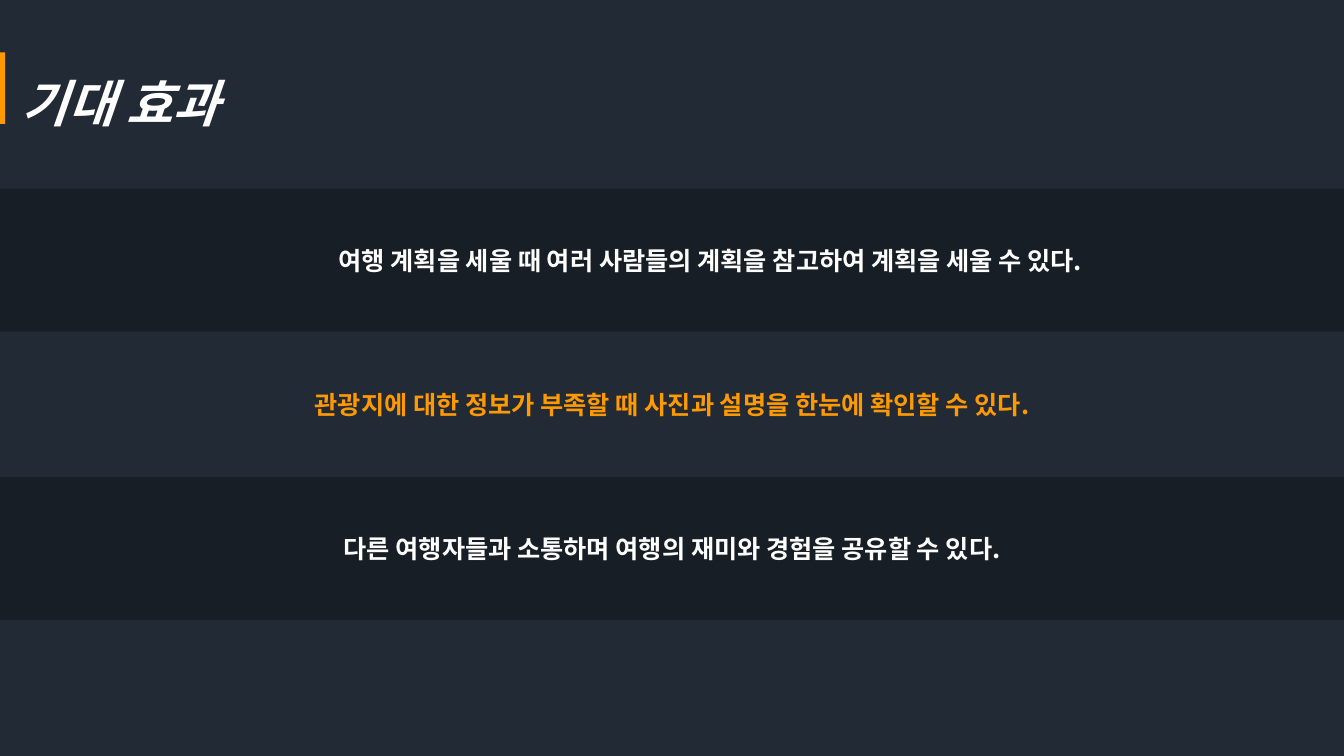
from lxml import etree
from pptx import Presentation
from pptx.dml.color import RGBColor
from pptx.enum.shapes import MSO_SHAPE
from pptx.enum.text import MSO_ANCHOR, PP_ALIGN
from pptx.oxml.ns import qn
from pptx.util import Inches, Pt

# Content
TITLE = "기대 효과"
# text, colour, on a dark band, left inset in inches
EFFECTS = [
    ("여행 계획을 세울 때 여러 사람들의 계획을 참고하여 계획을 세울 수 있다.", "white", True, 0.86),
    ("관광지에 대한 정보가 부족할 때 사진과 설명을 한눈에 확인할 수 있다.", "orange", False, 0.1),
    ("다른 여행자들과 소통하며 여행의 재미와 경험을 공유할 수 있다.", "white", True, 0.1),
]
COLORS = {"back": "222A35", "band": "181E26", "orange": "FF9900", "white": "FFFFFF"}
FONT = "Noto Sans CJK KR"
WIDTH, HEIGHT = 13.33, 7.5
BAND_TOP, BAND_HEIGHT, BAND_STEP = 1.87, 1.42, 1.43
LINE_HEIGHT = 0.4


def rgb(name):
    return RGBColor.from_string(COLORS[name])


def add_rect(left, top, width, height, color):
    sp = s.shapes.add_shape(MSO_SHAPE.RECTANGLE, Inches(left), Inches(top),
                            Inches(width), Inches(height))
    sp.shadow.inherit = False
    sp.fill.solid()
    sp.fill.fore_color.rgb = rgb(color)
    sp.line.fill.background()
    return sp


def add_text(left, top, width, height):
    return s.shapes.add_textbox(Inches(left), Inches(top), Inches(width), Inches(height))


def write(sp, text, size, color, align, italic=False):
    tf = sp.text_frame
    tf.word_wrap = True
    p = tf.paragraphs[0]
    p.text = text
    p.alignment = align
    r = p.runs[0]
    r.font.size = Pt(size)
    r.font.bold = True
    r.font.italic = italic
    r.font.color.rgb = rgb(color)
    r.font.name = FONT
    # Korean glyphs take the East Asian typeface
    etree.SubElement(r.font._element, qn("a:ea"), typeface=FONT)
    return tf


prs = Presentation()
prs.slide_width, prs.slide_height = Inches(WIDTH), Inches(HEIGHT)
s = prs.slides.add_slide(prs.slide_layouts[6])
s.background.fill.solid()
s.background.fill.fore_color.rgb = rgb("back")

# Title with accent bar
tf = write(add_text(0.12, 0.37, 6.03, 0.89), TITLE, 36, "white", PP_ALIGN.LEFT, italic=True)
tf.paragraphs[0].line_spacing = 1.5
add_rect(0, 0.52, 0.05, 0.71, "orange")

# Effects, one per row
for i, (text, color, on_band, inset) in enumerate(EFFECTS):
    top = BAND_TOP + i * BAND_STEP
    if on_band:
        sp = add_rect(0, top, WIDTH, BAND_HEIGHT, "band")
    else:
        sp = add_text(0, top + (BAND_HEIGHT - LINE_HEIGHT) / 2, WIDTH, LINE_HEIGHT)
    tf = write(sp, text, 18, color, PP_ALIGN.CENTER)
    tf.vertical_anchor = MSO_ANCHOR.MIDDLE
    tf.margin_left = Inches(inset)

prs.save("out.pptx")
